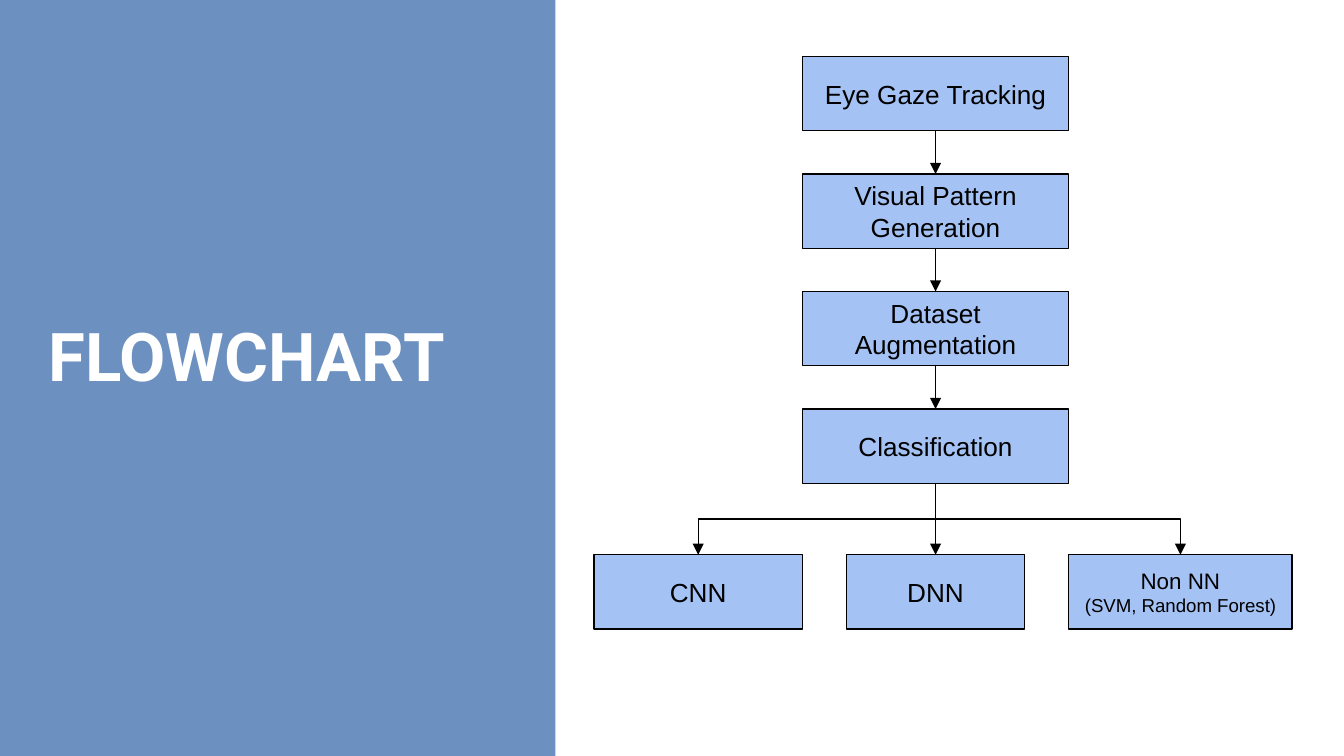
"""Build a slide with a titled side panel and a flowchart of a gaze classification pipeline."""
from lxml.etree import SubElement
from pptx import Presentation
from pptx.dml.color import RGBColor
from pptx.enum.shapes import MSO_CONNECTOR, MSO_SHAPE
from pptx.enum.text import MSO_ANCHOR, MSO_AUTO_SIZE, PP_ALIGN
from pptx.oxml.ns import qn
from pptx.util import Pt

COLORS = {"panel": "5E85B9", "box": "A4C2F4", "ink": "000000", "title": "FFFFFF"}
FRAME = {"word_wrap": True, "auto_size": MSO_AUTO_SIZE.NONE,
         "margin_left": Pt(7.2), "margin_right": Pt(7.2),
         "margin_top": Pt(7.2), "margin_bottom": Pt(7.2)}
BOX_FONT = {"name": "Arial", "bold": False}
TITLE_FONT = {"name": "Roboto", "size": Pt(36), "bold": True}

BOX_H = 39.8
STEP_X, STEP_W, STEP_TOP, STEP_PITCH = 429.9, 142.6, 30.3, 62.95
BRANCH_TOP = 297.2
STEPS = ["Eye Gaze Tracking", "Visual Pattern Generation",
         "Dataset Augmentation", "Classification"]
BRANCHES = [
    (318.2, 111.7, [("CNN", 14)]),
    (453.4, 95.6, [("DNN", 14)]),
    (572.5, 119.7, [("Non NN", 12), ("(SVM, Random Forest)", 10)]),
]


def apply(obj, values):
    for name, value in values.items():
        setattr(obj, name, value)


def rgb(key):
    return RGBColor.from_string(COLORS[key])


def add_rect(s, x, y, w, h, fill):
    sp = s.shapes.add_shape(MSO_SHAPE.RECTANGLE, Pt(x), Pt(y), Pt(w), Pt(h))
    sp.shadow.inherit = False
    sp.fill.solid()
    sp.fill.fore_color.rgb = rgb(fill)
    return sp


def add_panel(s, w, h):
    sp = add_rect(s, 0, 0, w, h, "panel")
    sp.line.fill.background()
    color = sp._element.spPr.find(".//" + qn("a:srgbClr"))
    SubElement(color, qn("a:alpha"), val="91000")


def add_box(s, x, y, w, lines):
    sp = add_rect(s, x, y, w, BOX_H, "box")
    sp.line.color.rgb = rgb("ink")
    sp.line.width = Pt(0.75)
    tf = sp.text_frame
    apply(tf, FRAME | {"vertical_anchor": MSO_ANCHOR.MIDDLE})
    for i, (text, size) in enumerate(lines):
        p = tf.add_paragraph() if i else tf.paragraphs[0]
        p.alignment = PP_ALIGN.CENTER
        r = p.add_run()
        r.text = text
        apply(r.font, BOX_FONT | {"size": Pt(size)})
        r.font.color.rgb = rgb("ink")
    return sp


def add_arrow(s, kind, x1, y1, x2, y2):
    c = s.shapes.add_connector(kind, Pt(x1), Pt(y1), Pt(x2), Pt(y2))
    c.line.color.rgb = rgb("ink")
    c.line.width = Pt(0.75)
    SubElement(c.line._get_or_add_ln(), qn("a:tailEnd"), type="triangle")
    SubElement(c._element.spPr, qn("a:effectLst"))
    return c


def link_down(s, upper, lower):
    c = add_arrow(s, MSO_CONNECTOR.STRAIGHT, 0, 0, 0, 0)
    c.begin_connect(upper, 2)
    c.end_connect(lower, 0)


def add_elbow_down(s, x1, y1, x2, y2):
    """Turn a sideways elbow upright so that it leaves and arrives vertically."""
    drop, reach = y2 - y1, abs(x2 - x1)
    left, top = (x1 + x2 - drop) / 2, (y1 + y2 - reach) / 2
    ends, turn = (left, left + drop), 90
    if x2 > x1:
        ends, turn = ends[::-1], 270
    c = add_arrow(s, MSO_CONNECTOR.ELBOW, ends[0], top, ends[1], top + reach)
    c._element.spPr.find(qn("a:xfrm")).set("rot", str(turn * 60000))


def add_title(s, text):
    sp = s.shapes.title
    apply(sp, {"left": Pt(18.7), "top": Pt(161.3), "width": Pt(251.3), "height": Pt(82.8)})
    tf = sp.text_frame
    apply(tf, FRAME | {"vertical_anchor": MSO_ANCHOR.TOP})
    p = tf.paragraphs[0]
    p.alignment = PP_ALIGN.LEFT
    r = p.add_run()
    r.text = text
    apply(r.font, TITLE_FONT)
    r.font.color.rgb = rgb("title")
    s.shapes._spTree.append(sp._element)


def add_flowchart(s):
    steps = [add_box(s, STEP_X, STEP_TOP + i * STEP_PITCH, STEP_W, [(text, 14)])
             for i, text in enumerate(STEPS)]
    branches = [add_box(s, x, BRANCH_TOP, w, lines) for x, w, lines in BRANCHES]
    chain = steps + [branches[1]]
    for upper, lower in zip(chain, chain[1:]):
        link_down(s, upper, lower)
    center = STEP_X + STEP_W / 2
    bottom = STEP_TOP + (len(STEPS) - 1) * STEP_PITCH + BOX_H
    for x, w, _ in (BRANCHES[0], BRANCHES[2]):
        add_elbow_down(s, center, bottom, x + w / 2, BRANCH_TOP)


def main():
    prs = Presentation()
    apply(prs, {"slide_width": Pt(720), "slide_height": Pt(405)})
    s = prs.slides.add_slide(prs.slide_layouts[5])
    add_panel(s, 297.5, 405)
    add_flowchart(s)
    add_title(s, "FLOWCHART")
    prs.save("out.pptx")


if __name__ == "__main__":
    main()
